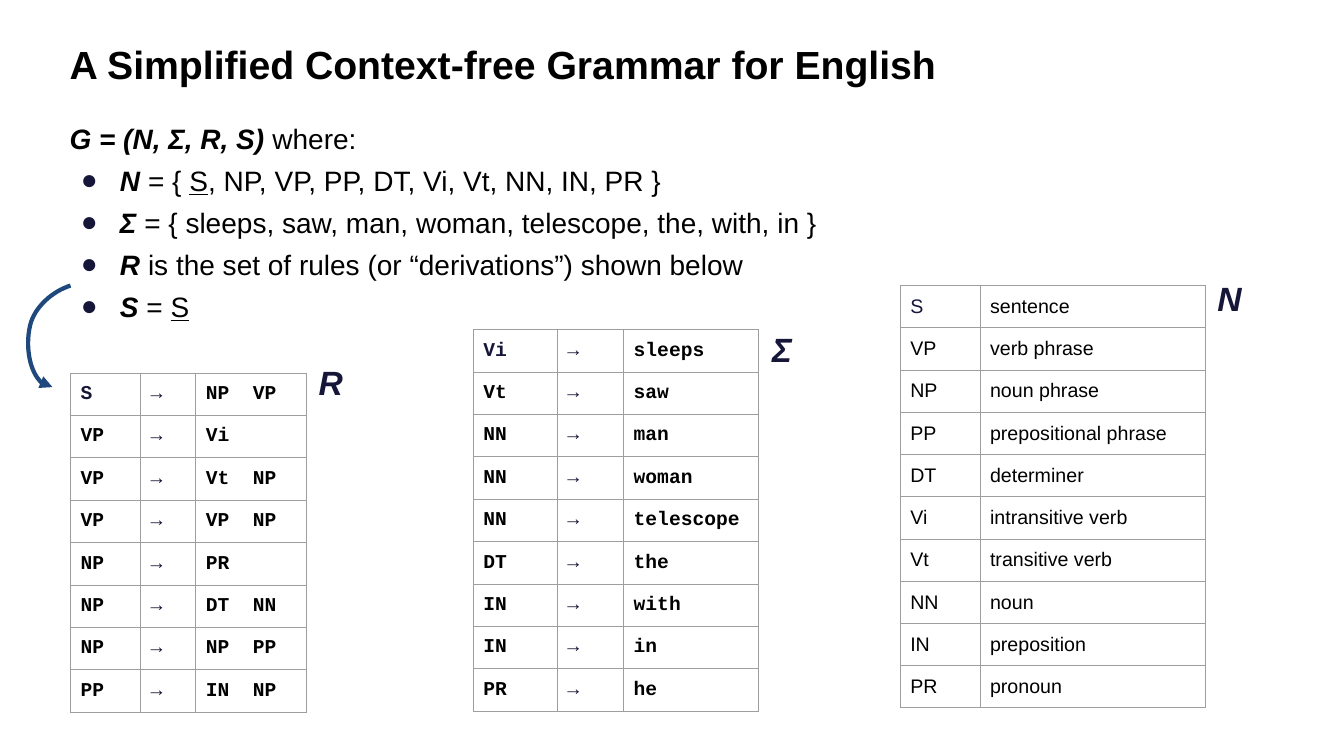
from dataclasses import dataclass

from lxml import etree
from pptx import Presentation
from pptx.dml.color import RGBColor
from pptx.enum.text import MSO_ANCHOR, MSO_AUTO_SIZE, PP_ALIGN
from pptx.oxml.ns import qn
from pptx.slide import Slide
from pptx.util import Pt

TOP, MIDDLE = MSO_ANCHOR.TOP, MSO_ANCHOR.MIDDLE
LEFT = PP_ALIGN.LEFT
NO_AUTOFIT = MSO_AUTO_SIZE.NONE

DEFINITION = [
    [("G = (N, Σ, R, S)", "bi"), (" where:", "")],
    [("N", "bi"), (" = { ", ""), ("S", "u"),
     (", NP, VP, PP, DT, Vi, Vt, NN, IN, PR }", "")],
    [("Σ", "bi"),
     (" = { sleeps, saw, man, woman, telescope, the, with, in }", "")],
    [("R", "bi"), (" is the set of rules (or “derivations”) shown below", "")],
    [("S", "bi"), (" = ", ""), ("S", "u")],
]
RULES = [
    ("S", "NP  VP"), ("VP", "Vi"), ("VP", "Vt  NP"), ("VP", "VP  NP"),
    ("NP", "PR"), ("NP", "DT  NN"), ("NP", "NP  PP"), ("PP", "IN  NP"),
]
LEXICON = [
    ("Vi", "sleeps"), ("Vt", "saw"), ("NN", "man"), ("NN", "woman"),
    ("NN", "telescope"), ("DT", "the"), ("IN", "with"), ("IN", "in"),
    ("PR", "he"),
]
SYMBOLS = [
    ("S", "sentence"), ("VP", "verb phrase"), ("NP", "noun phrase"),
    ("PP", "prepositional phrase"), ("DT", "determiner"),
    ("Vi", "intransitive verb"), ("Vt", "transitive verb"), ("NN", "noun"),
    ("IN", "preposition"), ("PR", "pronoun"),
]


def color(hex_value):
    return RGBColor.from_string(hex_value)


def with_arrows(rules):
    return [(left, "→", right) for left, right in rules]


@dataclass
class GrammarSlide:
    slide: Slide
    font: str = "Arial"
    code_font: str = "Courier New"
    ink: str = "000000"
    accent: str = "151638"
    grid: str = "9E9E9E"
    arrow: str = "1F497D"
    row_height: float = 30
    cell_margin: float = 7.2

    def run(self, paragraph, text, size, style="", hex_value=None, font=None):
        run = paragraph.add_run()
        run.text = text
        run.font.name = font or self.font
        run.font.size = Pt(size)
        run.font.bold = "b" in style
        run.font.italic = "i" in style
        run.font.underline = "u" in style
        run.font.color.rgb = color(hex_value or self.ink)

    def place(self, shape, left, top, width, height, anchor=TOP):
        shape.left, shape.top = Pt(left), Pt(top)
        shape.width, shape.height = Pt(width), Pt(height)
        frame = shape.text_frame
        frame.word_wrap = True
        frame.auto_size = NO_AUTOFIT
        frame.vertical_anchor = anchor
        return frame

    def indent(self, paragraph, margin, first_line, bullet=None):
        properties = paragraph._p.get_or_add_pPr()
        properties.set("marL", str(Pt(margin)))
        properties.set("indent", str(Pt(first_line)))
        if bullet:
            bullet_color = etree.SubElement(properties, qn("a:buClr"))
            etree.SubElement(bullet_color, qn("a:srgbClr"), val=self.accent)
            etree.SubElement(properties, qn("a:buFont"), typeface=self.font)
            etree.SubElement(properties, qn("a:buChar"), char=bullet)
        else:
            etree.SubElement(properties, qn("a:buNone"))

    def title(self, text, left, top, width, height):
        frame = self.place(self.slide.shapes.title, left, top, width, height)
        paragraph = frame.paragraphs[0]
        paragraph.alignment = LEFT
        paragraph.line_spacing = 0.9
        self.run(paragraph, text, 28, "b")

    def body(self, lines, left, top, width, height):
        frame = self.place(self.slide.placeholders[1], left, top, width, height)
        for index, line in enumerate(lines):
            paragraph = frame.add_paragraph() if index else frame.paragraphs[0]
            paragraph.space_before = Pt(6)
            if index:
                self.indent(paragraph, 36, -28, "●")
            else:
                self.indent(paragraph, 0, 0)
            for text, style in line:
                self.run(paragraph, text, 20, style)

    def label(self, text, left, top):
        shape = self.slide.shapes.add_textbox(0, 0, 0, 0)
        frame = self.place(shape, left, top, 80, 54, MIDDLE)
        paragraph = frame.paragraphs[0]
        self.indent(paragraph, 36, 0)
        self.run(paragraph, text, 24, "bi", self.accent)

    def table(self, rows, left, top, widths, style="", font=None):
        frame = self.slide.shapes.add_table(
            len(rows), len(widths), Pt(left), Pt(top),
            Pt(sum(widths)), Pt(self.row_height * len(rows)))
        table = frame.table
        table.first_row = table.horz_banding = False
        for column, width in zip(table.columns, widths):
            column.width = Pt(width)
        for row_index, row in enumerate(rows):
            table.rows[row_index].height = Pt(self.row_height)
            for column_index, text in enumerate(row):
                cell = table.cell(row_index, column_index)
                first = row_index == column_index == 0
                accented = first or text == "→"
                self.format_cell(cell)
                self.run(cell.text_frame.paragraphs[0], text, 14, style,
                         self.accent if accented else self.ink, font)

    def format_cell(self, cell):
        cell.margin_left = cell.margin_right = Pt(self.cell_margin)
        cell.margin_top = cell.margin_bottom = Pt(self.cell_margin)
        properties = cell._tc.get_or_add_tcPr()
        for side in ("lnL", "lnR", "lnT", "lnB"):
            line = etree.SubElement(properties, qn(f"a:{side}"),
                                    w=str(Pt(0.75)))
            fill = etree.SubElement(line, qn("a:solidFill"))
            etree.SubElement(fill, qn("a:srgbClr"), val=self.grid)
        cell.fill.background()

    def curved_arrow(self, start, *curves):
        builder = self.slide.shapes.build_freeform(*map(Pt, start))
        points = [(Pt(x), Pt(y)) for curve in curves for x, y in curve]
        builder.add_line_segments(points, close=False)
        shape = builder.convert_to_shape()
        shape.shadow.inherit = False
        shape.fill.background()
        shape.line.color.rgb = color(self.arrow)
        shape.line.width = Pt(3)
        segments = list(shape._element.iter(qn("a:lnTo")))
        for index in range(0, len(segments), 3):
            curve = etree.Element(qn("a:cubicBezTo"))
            segments[index].addprevious(curve)
            for segment in segments[index:index + 3]:
                curve.append(segment[0])
                segment.getparent().remove(segment)
        etree.SubElement(shape.line._get_or_add_ln(), qn("a:tailEnd"),
                         type="triangle")


def main():
    presentation = Presentation()
    presentation.slide_width, presentation.slide_height = Pt(960), Pt(540)
    layout = presentation.slide_layouts[1]
    grammar = GrammarSlide(presentation.slides.add_slide(layout))

    grammar.title("A Simplified Context-free Grammar for English",
                  42.5, 29, 852.5, 54)
    grammar.body(DEFINITION, 42.5, 83, 649, 181.5)
    grammar.table(with_arrows(RULES), 50.4, 266.5, (50, 39.5, 79),
                  "b", grammar.code_font)
    grammar.table(with_arrows(LEXICON), 338, 235.5, (60, 47.5, 96),
                  "b", grammar.code_font)
    grammar.table(SYMBOLS, 643, 204, (57, 161))
    grammar.curved_arrow(
        (50.4, 204),
        ((37.5, 208), (24.5, 219.5), (21.5, 232.5)),
        ((18, 247.5), (22.5, 276.5), (37.5, 276.5)))
    grammar.label("R", 184.5, 246)
    grammar.label("Σ", 508.5, 222)
    grammar.label("N", 826.5, 186)

    presentation.save("out.pptx")


if __name__ == "__main__":
    main()
